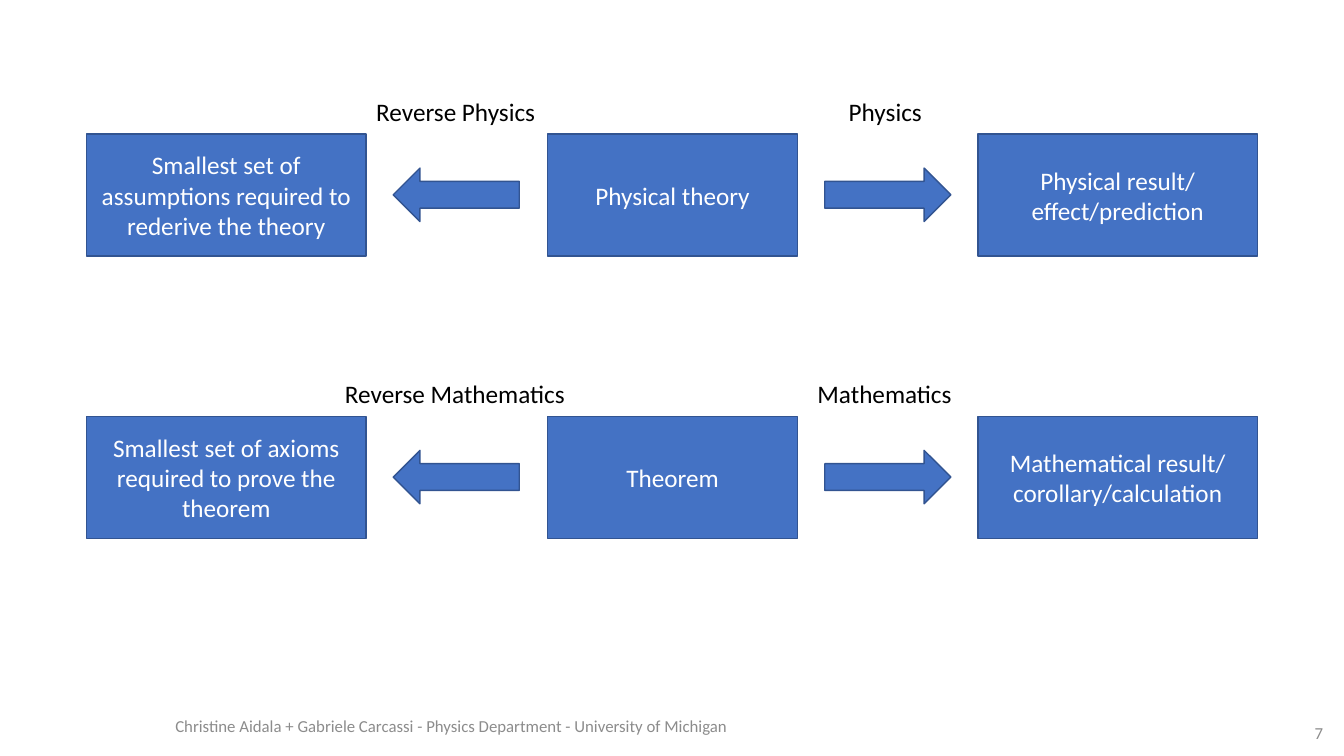
from dataclasses import dataclass

from pptx import Presentation
from pptx.dml.color import RGBColor
from pptx.enum.shapes import MSO_SHAPE
from pptx.enum.text import MSO_ANCHOR, MSO_AUTO_SIZE, PP_ALIGN
from pptx.util import Inches, Pt

RECT = MSO_SHAPE.RECTANGLE
LEFT_ARROW = MSO_SHAPE.LEFT_ARROW
RIGHT_ARROW = MSO_SHAPE.RIGHT_ARROW
TOP, MIDDLE = MSO_ANCHOR.TOP, MSO_ANCHOR.MIDDLE
LEFT, CENTER, RIGHT = PP_ALIGN.LEFT, PP_ALIGN.CENTER, PP_ALIGN.RIGHT
GROW = MSO_AUTO_SIZE.SHAPE_TO_FIT_TEXT

BLUE = RGBColor(0x44, 0x72, 0xC4)
NAVY = RGBColor(0x32, 0x54, 0x91)
WHITE = RGBColor(0xFF, 0xFF, 0xFF)
BLACK = RGBColor(0x00, 0x00, 0x00)
GRAY = RGBColor(0x8C, 0x8C, 0x8C)

WIDTH, HEIGHT = Inches(13.33), Inches(7.5)
COL, ROW = WIDTH / 100, HEIGHT / 100

BOX_COLS = ((6.45, 20.78), (40.74, 18.6), (72.77, 20.78))
ARROWS = ((LEFT_ARROW, 29.26), (RIGHT_ARROW, 61.37))
LABEL_MIDS = (33.97, 65.9)
ARROW_WIDE, ARROW_HIGH = 9.38, 7.07
BOX_HIGH, LABEL_HIGH = 16.13, 5.33
LABEL_RISE, ARROW_DROP = 5.7, 4.5


@dataclass(frozen=True)
class Area:
    left: float
    top: float
    wide: float
    high: float

    def place(self) -> tuple[int, int, int, int]:
        return (round(self.left * COL), round(self.top * ROW),
                round(self.wide * COL), round(self.high * ROW))


@dataclass(frozen=True)
class Label:
    text: str
    wide: float


@dataclass(frozen=True)
class Chain:
    top: float
    boxes: tuple[str, str, str]
    labels: tuple[Label, Label]


@dataclass(frozen=True)
class Footer:
    text: str
    area: Area
    align: PP_ALIGN


CHAINS = (
    Chain(17.73,
          ("Smallest set of assumptions required to rederive the theory",
           "Physical theory", "Physical result/\neffect/prediction"),
          (Label("Reverse Physics", 13.43), Label("Physics", 6.98))),
    Chain(55.07,
          ("Smallest set of axioms required to prove the theorem",
           "Theorem", "Mathematical result/\ncorollary/calculation"),
          (Label("Reverse Mathematics", 18.08), Label("Mathematics", 11.63))),
)
FOOTERS = (
    Footer("Christine Aidala + Gabriele Carcassi - Physics Department"
           " - University of Michigan", Area(12.3, 93.33, 48.99, 5.33), LEFT),
    Footer("7", Area(94.6, 95.33, 4.58, 3.33), RIGHT),
)


def apply(target, values: dict) -> None:
    for name, value in values.items():
        setattr(target, name, value)


def write(shape, text: str, size: int, color: RGBColor, align: PP_ALIGN,
          frame: dict) -> None:
    apply(shape.text_frame, frame)
    para = shape.text_frame.paragraphs[0]
    para.text = text
    para.alignment = align
    apply(para.font, {"name": "Calibri", "size": Pt(size)})
    para.font.color.rgb = color


def draw_shape(slide, kind: MSO_SHAPE, area: Area):
    shape = slide.shapes.add_shape(kind, *area.place())
    shape.shadow.inherit = False
    shape.fill.solid()
    shape.fill.fore_color.rgb = BLUE
    shape.line.color.rgb = NAVY
    shape.line.width = Pt(1)
    return shape


def draw_chain(slide, chain: Chain) -> None:
    for text, (left, wide) in zip(chain.boxes, BOX_COLS):
        box = draw_shape(slide, RECT, Area(left, chain.top, wide, BOX_HIGH))
        write(box, text, 18, WHITE, CENTER,
              {"word_wrap": True, "vertical_anchor": MIDDLE})
    for label, mid in zip(chain.labels, LABEL_MIDS):
        area = Area(mid - label.wide / 2, chain.top - LABEL_RISE,
                    label.wide, LABEL_HIGH)
        write(slide.shapes.add_textbox(*area.place()), label.text, 18, BLACK,
              LEFT, {"word_wrap": False, "auto_size": GROW,
                     "vertical_anchor": TOP})
    for kind, left in ARROWS:
        draw_shape(slide, kind, Area(left, chain.top + ARROW_DROP,
                                     ARROW_WIDE, ARROW_HIGH))


def draw_footer(slide, footer: Footer) -> None:
    write(slide.shapes.add_textbox(*footer.area.place()), footer.text, 12,
          GRAY, footer.align, {"word_wrap": True, "vertical_anchor": MIDDLE})


def main() -> None:
    deck = Presentation()
    apply(deck, {"slide_width": WIDTH, "slide_height": HEIGHT})
    slide = deck.slides.add_slide(deck.slide_layouts[6])
    for footer in FOOTERS:
        draw_footer(slide, footer)
    for chain in CHAINS:
        draw_chain(slide, chain)
    deck.save("out.pptx")


if __name__ == "__main__":
    main()
